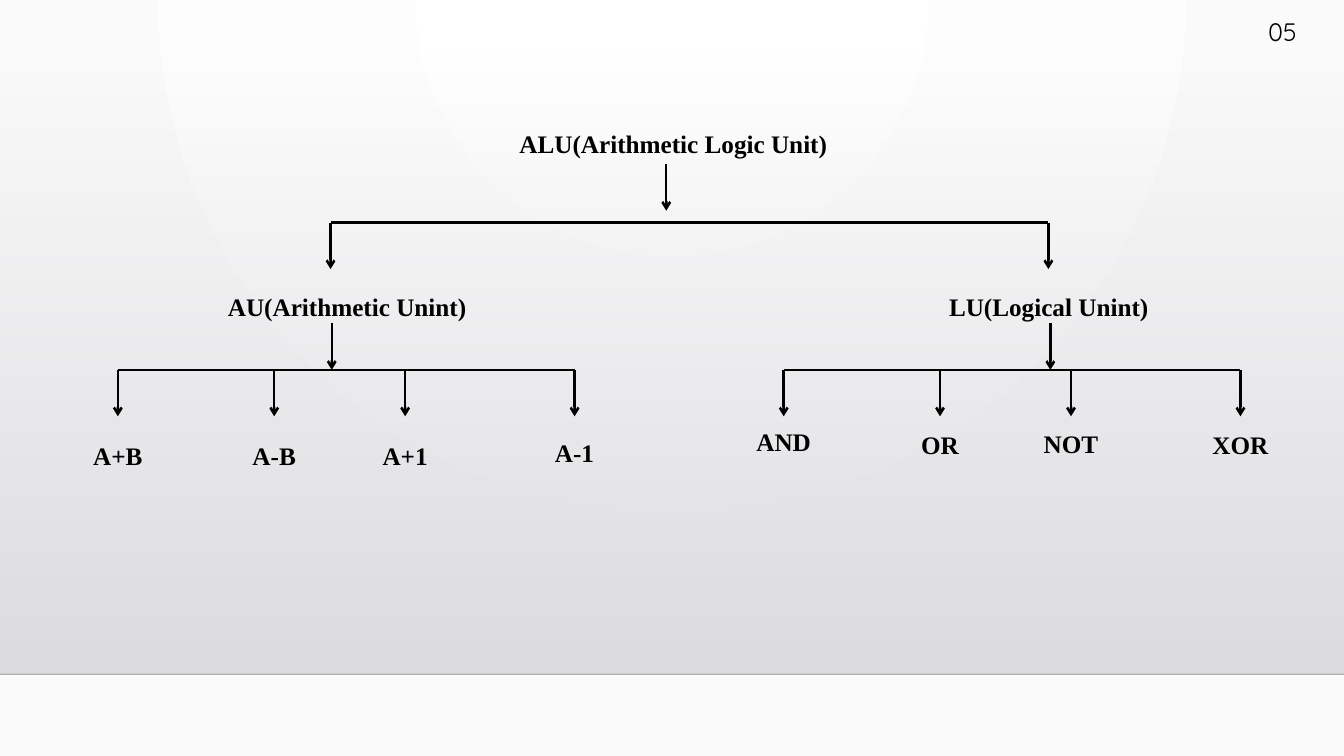
from lxml.etree import SubElement
from pptx import Presentation
from pptx.dml.color import RGBColor
from pptx.enum.shapes import MSO_CONNECTOR as Connector, MSO_SHAPE as Shape
from pptx.enum.text import MSO_ANCHOR as Anchor, MSO_AUTO_SIZE as AutoSize, PP_ALIGN as Align
from pptx.oxml.ns import qn
from pptx.util import Cm, Pt

COLORS = {
    "ink": "000000",
    "floor_line": "000001",
    "glow": "FFFFFF",
    "paper": "FAFAFA",
    "wall_top": "DCDCE0",
    "wall_bottom": "DEDEE2",
}
WIDTH, HEIGHT = 33.87, 19.05
FLOOR = 16.99
LABEL_HEIGHT = 1.02
ARROW_LENGTH = 1.17
UNIT_BAR, OPERATION_BAR = 5.61, 9.32
OPERATION_OFFSETS = (0, 3.94, 7.24, 11.51)
UNITS = [
    {
        "name": "AU(Arithmetic Unint)", "center": 8.75, "drop": 8.33, "stem": 8.36, "start": 2.97,
        "operations": [("A+B", 10.97), ("A-B", 10.97), ("A+1", 10.97), ("A-1", 10.9)],
    },
    {
        "name": "LU(Logical Unint)", "center": 26.43, "drop": 26.42, "stem": 26.47, "start": 19.75,
        "operations": [("AND", 10.62), ("OR", 10.69), ("NOT", 10.67), ("XOR", 10.69)],
    },
]


def rgb(name):
    """Return the named colour."""
    return RGBColor.from_string(COLORS[name])


def set_alpha(element, percents):
    """Give each colour in the element its opacity."""
    for color, percent in zip(element.iter(qn("a:srgbClr")), percents):
        SubElement(color, qn("a:alpha"), val=str(percent * 1000))


def fill_gradient(fill, names, angle=270):
    """Fill with a two-colour linear gradient."""
    fill.gradient()
    fill.gradient_angle = angle
    for stop, name in zip(fill.gradient_stops, names):
        stop.color.rgb = rgb(name)


def paint_background(slide):
    """Paint a round glow from the top centre of the slide."""
    fill_gradient(slide.background.fill, ("glow", "paper"))
    gradient = next(slide.element.iter(qn("a:gradFill")))
    gradient.remove(gradient.find(qn("a:lin")))
    circle = SubElement(gradient, qn("a:path"), path="circle")
    SubElement(circle, qn("a:fillToRect"), l="43000", r="43000", b="100000")


def add_wall(slide):
    """Add the wall that fades in towards the floor, behind all else."""
    wall = slide.shapes.add_shape(Shape.RECTANGLE, 0, Cm(1.3), Cm(WIDTH), Cm(FLOOR - 1.3))
    wall.shadow.inherit = False
    wall.line.fill.background()
    fill_gradient(wall.fill, ("wall_top", "wall_bottom"))
    set_alpha(wall.element, (0, 100))
    slide.shapes.element.insert(2, wall.element)


def add_line(slide, start, end, color="ink", width=1.75, arrow=False):
    """Add a straight line, with an arrowhead at its end if asked."""
    points = [Cm(value) for value in (*start, *end)]
    line = slide.shapes.add_connector(Connector.STRAIGHT, *points)
    line.line.color.rgb = rgb(color)
    line.line.width = Pt(width)
    if arrow:
        SubElement(line.line._get_or_add_ln(), qn("a:tailEnd"), type="arrow")
    SubElement(line.element.spPr, qn("a:effectLst"))
    return line


def add_arrow(slide, x, y):
    """Add a short arrow pointing down."""
    add_line(slide, (x, y), (x, y + ARROW_LENGTH), arrow=True)


def write_label(shape, text, center, top, width, font="Times New Roman", bold=True):
    """Place a shape around a centre and write one centred line in it."""
    box = {"left": center - width / 2, "top": top, "width": width, "height": LABEL_HEIGHT}
    for name, value in box.items():
        setattr(shape, name, Cm(value))
    frame = shape.text_frame
    frame.text = text
    layout = {"word_wrap": True, "auto_size": AutoSize.SHAPE_TO_FIT_TEXT, "vertical_anchor": Anchor.TOP}
    for name, value in layout.items():
        setattr(frame, name, value)
    paragraph = frame.paragraphs[0]
    paragraph.alignment = Align.CENTER
    run_font = paragraph.runs[0].font
    for name, value in {"name": font, "size": Pt(18), "bold": bold}.items():
        setattr(run_font, name, value)
    run_font.color.rgb = rgb("ink")


def add_label(slide, *args, **formats):
    """Add a text box with one centred line."""
    write_label(slide.shapes.add_textbox(0, 0, 0, 0), *args, **formats)


def add_unit(slide, unit):
    """Add a unit with the branches to its operations."""
    add_arrow(slide, unit["drop"], UNIT_BAR)
    add_label(slide, unit["name"], unit["center"], 7.21, 7.24)
    add_arrow(slide, unit["stem"], OPERATION_BAR - ARROW_LENGTH)
    start = unit["start"]
    add_line(slide, (start, OPERATION_BAR), (start + OPERATION_OFFSETS[-1], OPERATION_BAR))
    for offset, (name, top) in zip(OPERATION_OFFSETS, unit["operations"]):
        add_arrow(slide, start + offset, OPERATION_BAR)
        add_label(slide, name, start + offset, top, 2.44)


def main():
    """Build the slide and save it."""
    presentation = Presentation()
    presentation.slide_width, presentation.slide_height = Cm(WIDTH), Cm(HEIGHT)
    slide = presentation.slides.add_slide(presentation.slide_layouts[5])
    paint_background(slide)
    add_wall(slide)
    floor = add_line(slide, (0, FLOOR), (WIDTH, FLOOR), "floor_line", 1)
    set_alpha(floor.element.spPr, (20,))
    write_label(slide.shapes.title, "ALU(Arithmetic Logic Unit)", 16.97, 3.1, 8.53)
    add_arrow(slide, 16.79, 4.14)
    add_line(slide, (UNITS[0]["drop"], UNIT_BAR), (UNITS[1]["drop"], UNIT_BAR))
    for unit in UNITS:
        add_unit(slide, unit)
    add_label(slide, "05", 32.32, 0.28, 2.11, font="Quicksand", bold=False)
    presentation.save("out.pptx")


if __name__ == "__main__":
    main()
